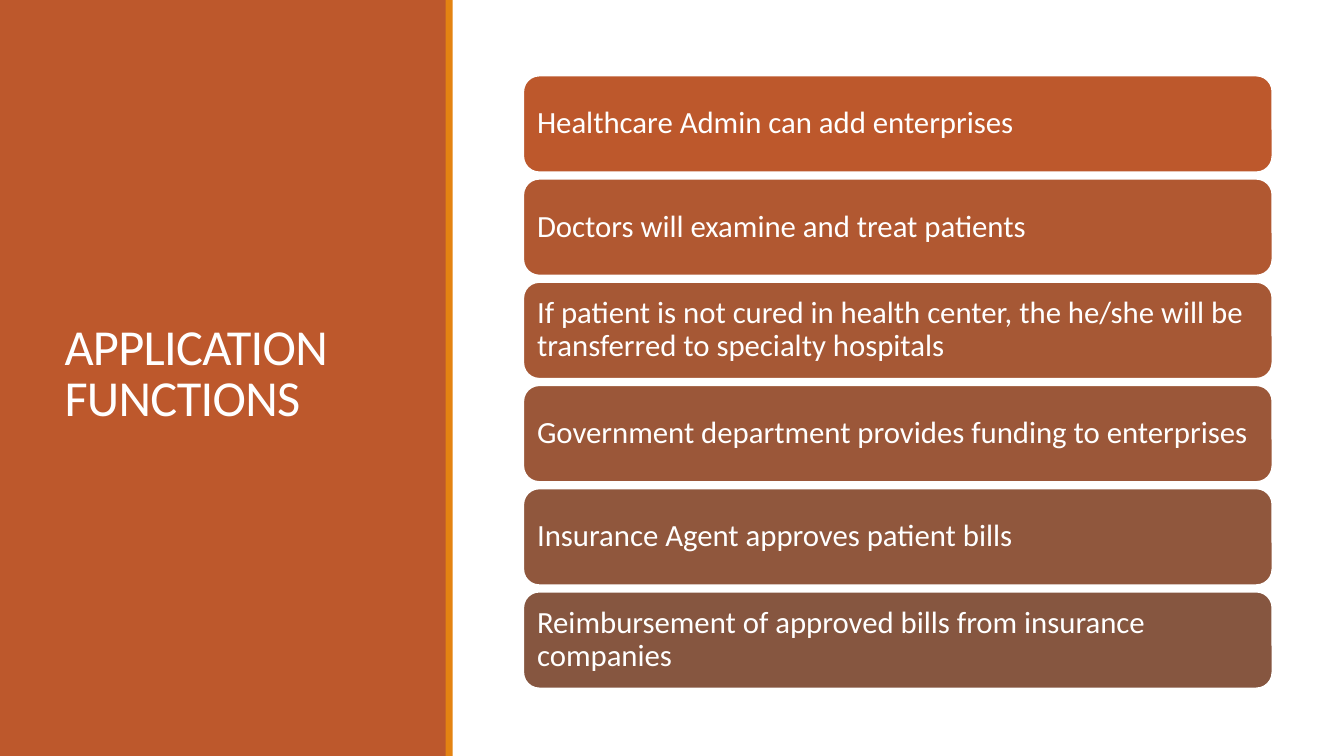
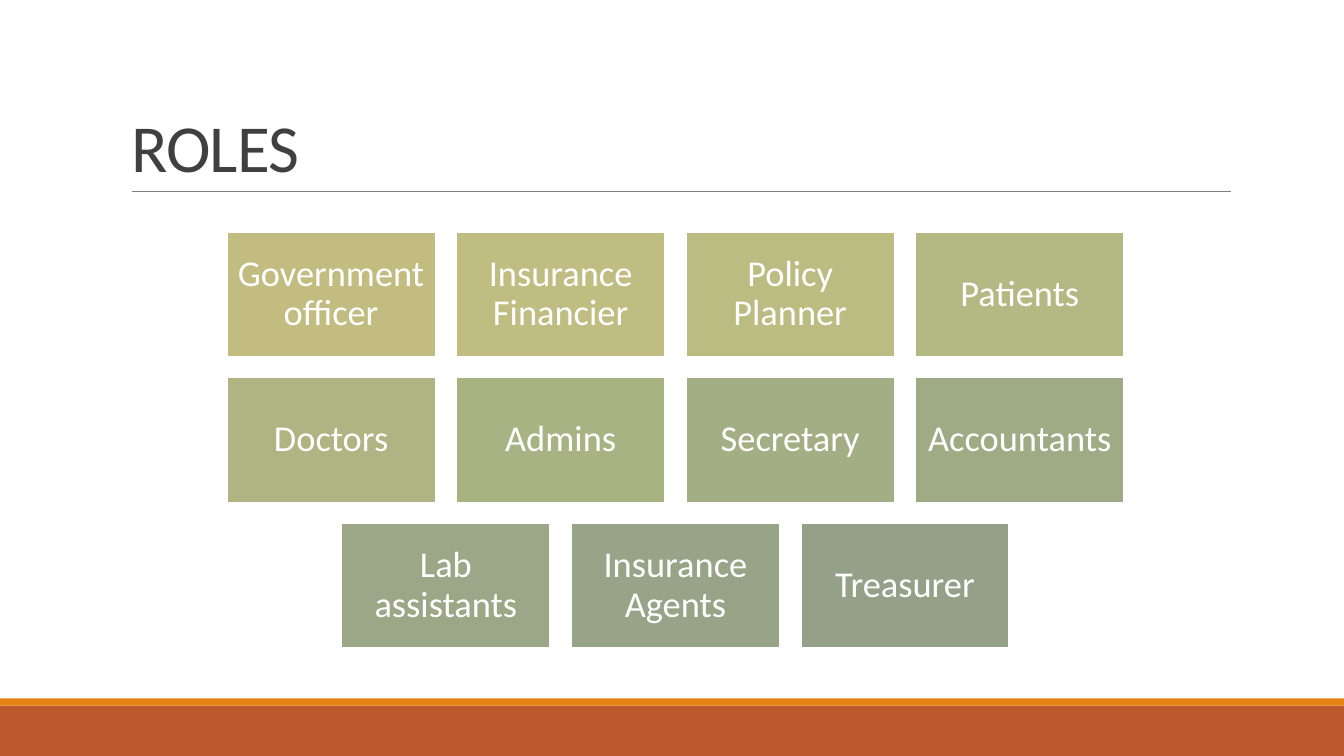
from lxml import etree
from pptx import Presentation
from pptx.dml.color import RGBColor
from pptx.enum.shapes import MSO_CONNECTOR, MSO_SHAPE
from pptx.enum.text import MSO_ANCHOR, MSO_AUTO_SIZE, PP_ALIGN
from pptx.oxml.ns import qn
from pptx.util import Inches, Pt

FONT = "Calibri"
WHITE = RGBColor(0xFF, 0xFF, 0xFF)
RUST = RGBColor(0xBD, 0x58, 0x2C)
ORANGE = RGBColor(0xE4, 0x83, 0x12)
CHARCOAL = RGBColor(0x40, 0x40, 0x40)
GRAY = RGBColor(0x80, 0x80, 0x80)

SLIDE_WIDTH, SLIDE_HEIGHT = 13.33, 7.5
STRIPE = 0.07

FUNCTIONS = [
    ("Healthcare Admin can add enterprises", RUST),
    ("Doctors will examine and treat patients", RGBColor(0xB1, 0x58, 0x31)),
    ("If patient is not cured in health center, the he/she will be "
     "transferred to specialty hospitals", RGBColor(0xA6, 0x58, 0x35)),
    ("Government department provides funding to enterprises",
     RGBColor(0x9B, 0x57, 0x39)),
    ("Insurance Agent approves patient bills", RGBColor(0x90, 0x57, 0x3D)),
    ("Reimbursement of approved bills from insurance companies",
     RGBColor(0x86, 0x56, 0x40)),
]

ROLES = [
    ("Government officer", RGBColor(0xC2, 0xBC, 0x80)),
    ("Insurance Financier", RGBColor(0xBF, 0xBD, 0x81)),
    ("Policy Planner", RGBColor(0xBA, 0xBC, 0x81)),
    ("Patients", RGBColor(0xB4, 0xB8, 0x82)),
    ("Doctors", RGBColor(0xAE, 0xB5, 0x82)),
    ("Admins", RGBColor(0xA8, 0xB2, 0x83)),
    ("Secretary", RGBColor(0xA3, 0xAE, 0x84)),
    ("Accountants", RGBColor(0x9F, 0xAB, 0x85)),
    ("Lab assistants", RGBColor(0x9B, 0xA7, 0x86)),
    ("Insurance Agents", RGBColor(0x97, 0xA4, 0x87)),
    ("Treasurer", RGBColor(0x94, 0xA0, 0x88)),
]


def add_box(page, kind, left, top, width, height, fill):
    """Add a filled shape with no line and no shadow."""
    box = page.shapes.add_shape(
        kind, Inches(left), Inches(top), Inches(width), Inches(height))
    box.shadow.inherit = False
    box.fill.solid()
    box.fill.fore_color.rgb = fill
    box.line.fill.background()
    return box


def write_text(box, text, size, color, align, anchor, spacing):
    """Put one styled paragraph in a shape and return its run."""
    frame = box.text_frame
    frame.text = text
    frame.word_wrap = True
    frame.auto_size = MSO_AUTO_SIZE.NONE
    frame.vertical_anchor = anchor
    para = frame.paragraphs[0]
    para.alignment = align
    para.line_spacing = spacing
    span = para.runs[0]
    span.font.name = FONT
    span.font.size = Pt(size)
    span.font.color.rgb = color
    return span


def set_title(page, text, left, top, width, height, size, color, anchor):
    title = page.shapes.title
    title.left, title.top = Inches(left), Inches(top)
    title.width, title.height = Inches(width), Inches(height)
    span = write_text(title, text, size, color, PP_ALIGN.LEFT, anchor, 0.85)
    span.font._element.set("spc", "-50")
    # Bring the title in front of the panels
    title.element.getparent().append(title.element)


def add_card(page, kind, left, top, width, height, fill, text, size, align,
             inset):
    """Add a white-edged card with its label."""
    card = add_box(page, kind, left, top, width, height, fill)
    card.line.color.rgb = WHITE
    card.line.width = Pt(1.25)
    frame = card.text_frame
    frame.margin_left = frame.margin_right = Inches(inset)
    frame.margin_top = frame.margin_bottom = Inches(inset)
    write_text(card, text, size, WHITE, align, MSO_ANCHOR.MIDDLE, 0.9)


def add_side_panel(page, width):
    add_box(page, MSO_SHAPE.RECTANGLE, 0, 0, width, SLIDE_HEIGHT, RUST)
    add_box(page, MSO_SHAPE.RECTANGLE, width - 0.01, 0, STRIPE, SLIDE_HEIGHT,
            ORANGE)


def add_bottom_band(page, top):
    add_box(page, MSO_SHAPE.RECTANGLE, 0, top, SLIDE_WIDTH,
            SLIDE_HEIGHT - top, RUST)
    add_box(page, MSO_SHAPE.RECTANGLE, 0, top - STRIPE, SLIDE_WIDTH, STRIPE,
            ORANGE)


def add_title_rule(page, left, right, top):
    rule = page.shapes.add_connector(
        MSO_CONNECTOR.STRAIGHT, Inches(left), Inches(top), Inches(right),
        Inches(top))
    rule.line.color.rgb = GRAY
    rule.line.width = Pt(0.5)
    etree.SubElement(rule.element.spPr, qn("a:effectLst"))


def add_card_list(page, items, left, top, width, height):
    """Stack rounded cards that fill the given box."""
    card_height = 0.96
    pitch = (height - card_height) / (len(items) - 1)
    for index, (text, fill) in enumerate(items):
        add_card(page, MSO_SHAPE.ROUNDED_RECTANGLE, left, top + index * pitch,
                 width, card_height, fill, text, 22, PP_ALIGN.LEFT, 0.09)


def add_card_grid(page, items, left, top, width, height, columns):
    """Lay out cards in rows, centring a short last row."""
    card_width, card_height = 2.07, 1.24
    rows = [items[start:start + columns]
            for start in range(0, len(items), columns)]
    across = (width - card_width) / (columns - 1)
    down = (height - card_height) / (len(rows) - 1)
    for row_index, row in enumerate(rows):
        row_left = left + (columns - len(row)) * across / 2
        for column, (text, fill) in enumerate(row):
            add_card(page, MSO_SHAPE.RECTANGLE, row_left + column * across,
                     top + row_index * down, card_width, card_height, fill,
                     text, 26, PP_ALIGN.CENTER, 0.1)


def build_functions_slide(page):
    add_side_panel(page, 4.43)
    set_title(page, "APPLICATION FUNCTIONS", 0.54, 0.57, 3.37, 6.31, 36,
              WHITE, MSO_ANCHOR.MIDDLE)
    add_card_list(page, FUNCTIONS, 5.19, 0.75, 7.43, 6.08)


def build_roles_slide(page):
    add_bottom_band(page, 7)
    add_title_rule(page, 1.31, 12.21, 1.9)
    set_title(page, "ROLES", 1.2, 0.31, 11, 1.59, 48, CHARCOAL,
              MSO_ANCHOR.BOTTOM)
    add_card_grid(page, ROLES, 2.25, 2.3, 8.9, 4.13, columns=4)


def main():
    deck = Presentation()
    deck.slide_width = Inches(SLIDE_WIDTH)
    deck.slide_height = Inches(SLIDE_HEIGHT)
    title_only = deck.slide_layouts[5]
    for build in (build_functions_slide, build_roles_slide):
        build(deck.slides.add_slide(title_only))
    deck.save("out.pptx")


if __name__ == "__main__":
    main()
